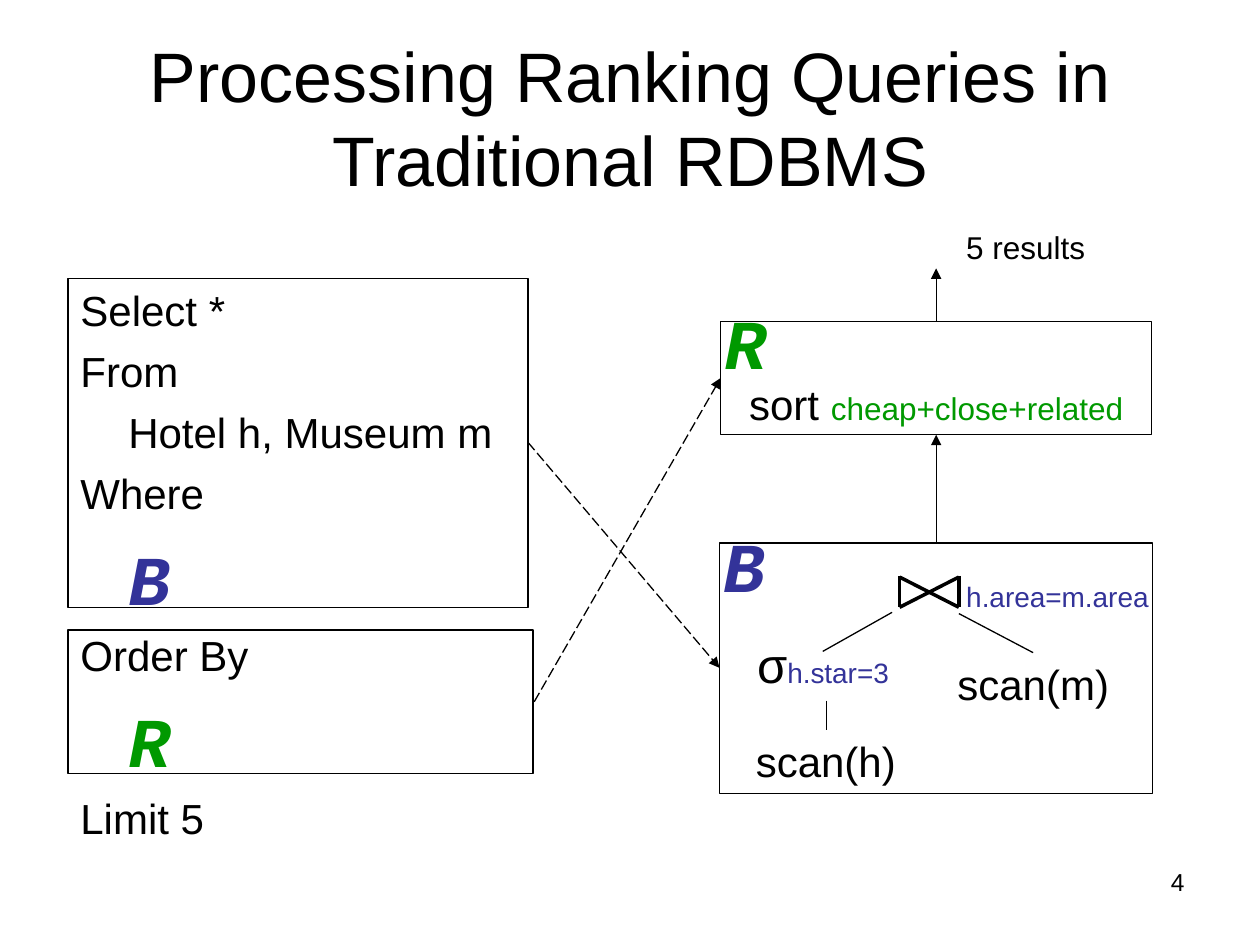
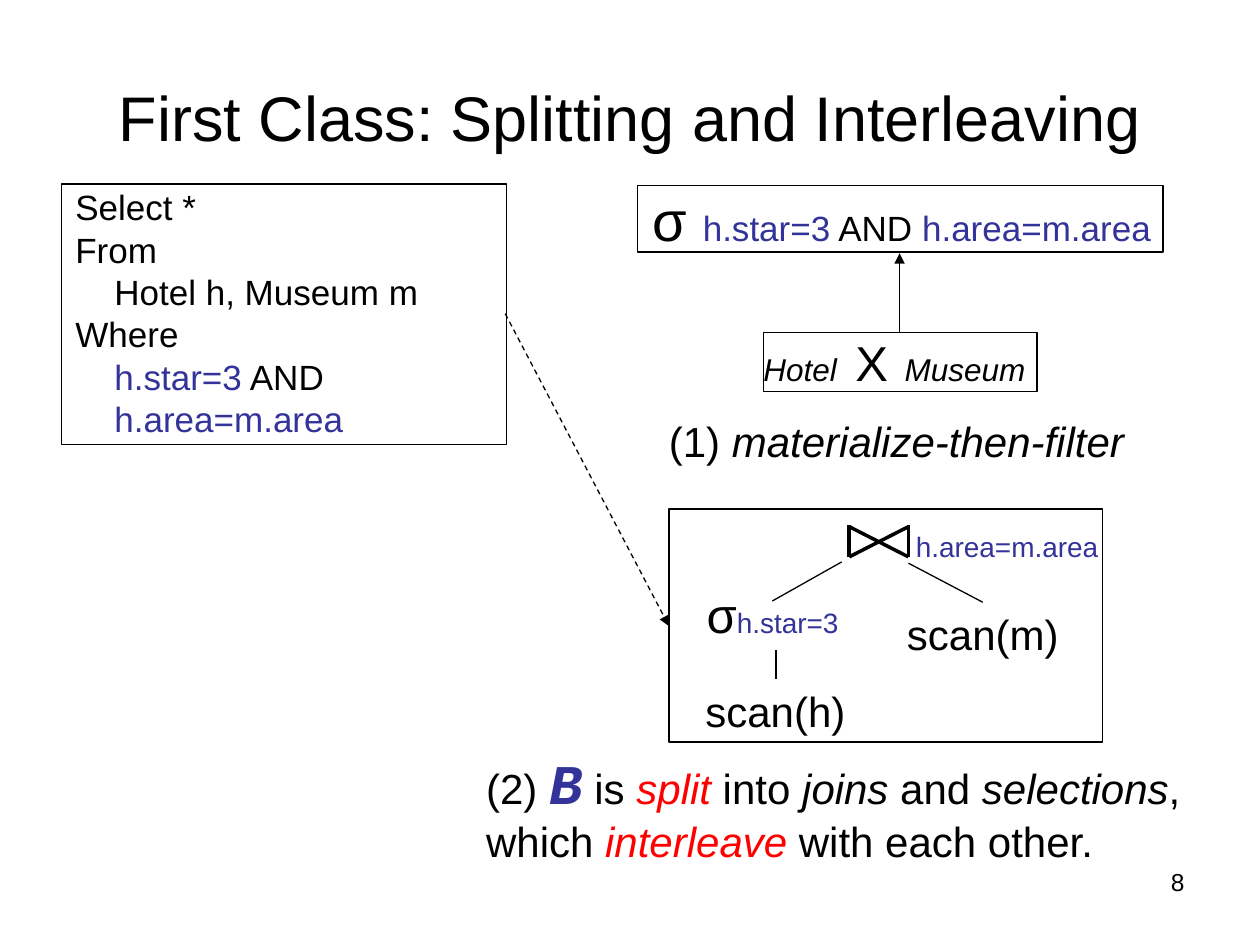
"""Build two slides on processing ranking queries in a relational database."""
from lxml import etree
from pptx import Presentation
from pptx.dml.color import RGBColor
from pptx.enum.dml import MSO_LINE
from pptx.enum.shapes import MSO_CONNECTOR, MSO_SHAPE
from pptx.enum.text import MSO_ANCHOR, PP_ALIGN
from pptx.oxml.ns import qn
from pptx.util import Inches, Pt

LEFT, MID, RIGHT = PP_ALIGN.LEFT, PP_ALIGN.CENTER, PP_ALIGN.RIGHT
TOP, CENTER, BOTTOM = MSO_ANCHOR.TOP, MSO_ANCHOR.MIDDLE, MSO_ANCHOR.BOTTOM
DASH, LONG = MSO_LINE.DASH, MSO_LINE.LONG_DASH
BLACK, BLUE, GREEN, RED = "000000", "333399", "009900", "FF0000"
ITAL = {"italic": True}
HOT = {"italic": True, "color": RED}
MARK = {"font": "Courier New", "size": 40, "bold": True, "italic": True}
BOOL = {**MARK, "color": BLUE}
RANK = {**MARK, "color": GREEN}


def put(slide, text, x, y, w, h, size=24, color=BLACK, align=LEFT, anchor=TOP,
        border=False, inset=(0.1, 0.05), indent=0, inner=(), space=1.0, tabs=()):
    """Add a text box or framed box; text is a string or a list of paragraphs made of runs."""
    place = [Inches(v) for v in (x, y, w, h)]
    if border:
        box = slide.shapes.add_shape(MSO_SHAPE.RECTANGLE, *place)
        box.shadow.inherit = False
        box.fill.background()
        box.line.color.rgb = RGBColor.from_string(BLACK)
        box.line.width = Pt(0.75)
    else:
        box = slide.shapes.add_textbox(*place)
    frame = box.text_frame
    frame.word_wrap = True
    frame.vertical_anchor = anchor
    frame.margin_left = frame.margin_right = Inches(inset[0])
    frame.margin_top = frame.margin_bottom = Inches(inset[1])
    for row, runs in enumerate([text] if isinstance(text, str) else text):
        para = frame.add_paragraph() if row else frame.paragraphs[0]
        para.alignment = align
        para.line_spacing = space
        if row in inner:
            para._p.get_or_add_pPr().set("marL", str(Inches(indent)))
        if tabs:
            stops = etree.SubElement(para._p.get_or_add_pPr(), qn("a:tabLst"))
            for stop in tabs:
                etree.SubElement(stops, qn("a:tab"), pos=str(Inches(stop)), algn="l")
        tall = 0
        for part in [runs] if isinstance(runs, str) else runs:
            words, look = (part, {}) if isinstance(part, str) else part
            run = para.add_run()
            run.text = words
            font = run.font
            font.name = look.get("font", "Arial")
            font.size = Pt(look.get("size", size))
            font.bold = look.get("bold", False)
            font.italic = look.get("italic", False)
            font.color.rgb = RGBColor.from_string(look.get("color", color))
            tall = max(tall, look.get("size", size))
        if row:
            para.space_before = Pt(tall / 4)


def link(slide, x1, y1, x2, y2, width=0.75, dash=None, arrow=False):
    """Draw a straight line, with an arrowhead at its end if asked."""
    line = slide.shapes.add_connector(MSO_CONNECTOR.STRAIGHT, *[Inches(v) for v in (x1, y1, x2, y2)])
    line.line.color.rgb = RGBColor.from_string(BLACK)
    line.line.width = Pt(width)
    if dash:
        line.line.dash_style = dash
    if arrow:
        etree.SubElement(line.line._get_or_add_ln(), qn("a:tailEnd"), type="triangle")
    etree.SubElement(line._element.spPr, qn("a:effectLst"))


deck = Presentation()
deck.slide_width, deck.slide_height = Inches(10), Inches(7.5)
pages = []
for title, size, number, x, y in (
    ("Processing Ranking Queries in Traditional RDBMS", 40, "4", 5.71, 4.57),
    ("First Class: Splitting and Interleaving", 36, "8", 5.31, 4.17),
):
    page = deck.slides.add_slide(deck.slide_layouts[6])
    pages.append(page)
    put(page, title, 0.5, 0.3, 9, 1.25, size=size, align=MID, anchor=CENTER)
    put(page, number, 7.17, 6.83, 2.33, 0.52, size=14, align=RIGHT)

    a, b = x + 1.43, x + 1.9
    for ends in ((a, 0, a, 0.25), (b, 0, b, 0.25), (a, 0.01, b, 0.25), (a, 0.25, b, 0.01)):
        link(page, ends[0], y + ends[1], ends[2], y + ends[3], width=2)
    for x1, y1, x2, y2 in ((0.85, 0.99, 0.85, 1.22), (2.49, 0.61, 1.9, 0.3), (0.82, 0.6, 1.37, 0.29)):
        link(page, x + x1, y + y1, x + x2, y + y2)
    put(page, "h.area=m.area", x + 1.86, y - 0.02, 1.75, 0.37, size=16, color=BLUE)
    put(page, [["σ", ("h.star=3", {"size": 16, "color": BLUE})]], x + 0.2, y + 0.42, 1.35, 0.57, size=28)
    put(page, "scan(h)", x + 0.19, y + 1.22, 1.5, 0.5)
    put(page, "scan(m)", x + 1.79, y + 0.61, 1.6, 0.5)

plan, split = pages
query = ["Select *", "From", "Hotel h, Museum m", "Where"]

put(plan, query + [[("B", BOOL)], "Order By", [("R", RANK)], "Limit 5"],
    0.54, 2.21, 6.33, 5, indent=0.38, inner=(2, 4, 6))
for x, y, w, h in ((0.54, 2.21, 3.65, 2.61), (0.54, 5, 3.69, 1.14), (5.71, 4.31, 3.44, 1.99)):
    put(plan, [], x, y, w, h, border=True)
put(plan, [["sort ", ("cheap+close+related", {"size": 18, "color": GREEN})]],
    5.72, 2.55, 3.42, 0.9, align=MID, anchor=BOTTOM, border=True)
put(plan, [[("B", BOOL)]], 5.64, 4.1, 0.53, 0.77)
put(plan, [[("R", RANK)]], 5.65, 2.33, 0.85, 0.77)
put(plan, "5 results", 7.57, 1.76, 1.3, 0.4, size=18)
link(plan, 4.19, 3.51, 5.71, 5.3, dash=LONG, arrow=True)
link(plan, 4.24, 5.57, 5.72, 3, dash=LONG, arrow=True)
link(plan, 7.43, 4.31, 7.43, 3.45, arrow=True)
link(plan, 7.43, 2.55, 7.43, 2.13, arrow=True)

star, area = ("h.star=3", {"size": 20, "color": BLUE}), ("h.area=m.area", {"size": 20, "color": BLUE})
put(split, query + [[star, " AND"], [area]], 0.5, 1.49, 3.47, 2.37,
    size=20, indent=0.31, inner=(2, 4, 5), space=0.8)
for x, y, w, h in ((0.49, 1.46, 3.53, 2.07), (5.31, 4.04, 3.44, 1.85)):
    put(split, [], x, y, w, h, border=True)
put(split, [[("σ ", {"size": 32}), star, " AND ", area]], 5.06, 1.47, 4.17, 0.53,
    size=20, border=True, inset=(0, 0), indent=0.12, inner=(0,))
put(split, [[("Hotel\t", ITAL), ("X\t", {"size": 28}), ("Museum", ITAL)]], 6.06, 2.64, 2.17, 0.47,
    size=18, border=True, inset=(0, 0), tabs=(0.73, 1.12))
put(split, [["(1) ", ("materialize-then-filter", ITAL)]], 5.21, 3.25, 3.99, 0.53)
put(split, [["(2) ", ("B", {**BOOL, "size": 32}), " is ", ("split", HOT), " into ", ("joins", ITAL),
             " and ", ("selections", ITAL), ", which ", ("interleave", HOT), " with each other."]],
    3.76, 5.89, 5.74, 1.04)
link(split, 7.14, 2.64, 7.14, 2.01, arrow=True)
link(split, 4.01, 2.49, 5.31, 4.97, dash=DASH, arrow=True)

deck.save("out.pptx")
